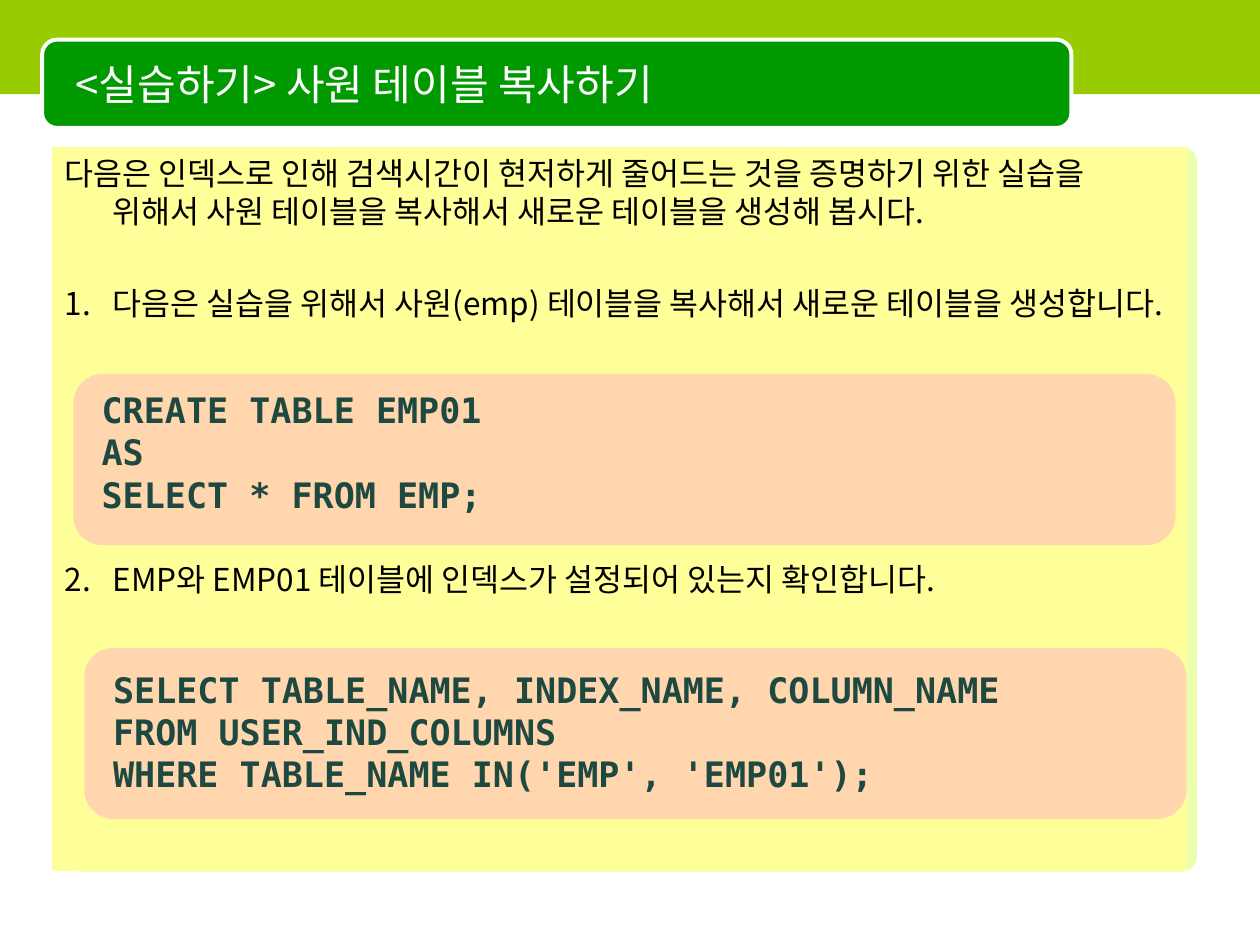
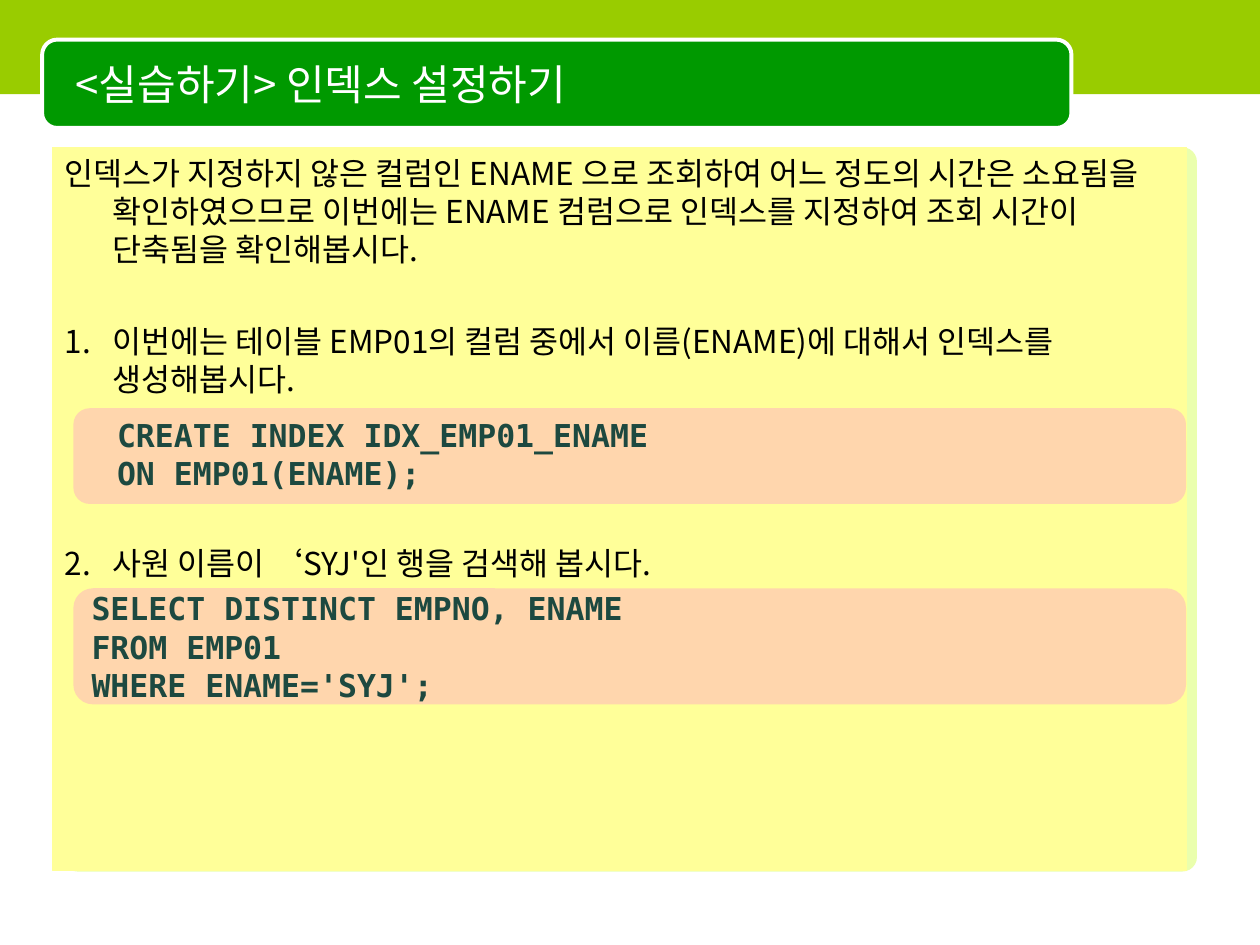
from dataclasses import dataclass

from lxml import etree
from pptx import Presentation
from pptx import util as u
from pptx.dml.color import RGBColor
from pptx.enum import shapes, text
from pptx.oxml.ns import qn


@dataclass(frozen=True)
class Theme:
    band: str = "99CC00"
    title_frame: str = "009900"
    title_ink: str = "FFFFFF"
    backdrop: str = "CCFF33"
    panel: str = "FFFF99"
    code_card: str = "FF99CC"
    body_ink: str = "000000"
    code_ink: str = "1D4940"
    body_font: str = "Noto Sans CJK KR"
    code_font: str = "DejaVu Sans Mono"
    title_size: float = 24
    body_size: float = 18
    row_height: float = 1.21  # line pitch relative to type size
    row_gap: float = 4.5
    opacity: int = 40


theme = Theme()
RECT = shapes.MSO_SHAPE.RECTANGLE
ROUND = shapes.MSO_SHAPE.ROUNDED_RECTANGLE


def add_box(parent, preset, place, fill, opacity=100, corner=None, line=None, line_width=0):
    box = parent.add_shape(preset, *map(u.Cm, place))
    box.shadow.inherit = False
    box.fill.solid()
    box.fill.fore_color.rgb = RGBColor.from_string(fill)
    if opacity < 100:
        color = box.element.spPr.find(".//" + qn("a:srgbClr"))
        etree.SubElement(color, qn("a:alpha"), val=str(opacity * 1000))
    if corner is not None:
        box.adjustments[0] = corner
    if line:
        box.line.color.rgb = RGBColor.from_string(line)
        box.line.width = u.Pt(line_width)
    else:
        box.line.fill.background()
    return box


def write(frame, lines, font, size, ink, anchor=text.MSO_ANCHOR.TOP, bold=False):
    frame_format = {
        "word_wrap": True,
        "auto_size": text.MSO_AUTO_SIZE.NONE,
        "vertical_anchor": anchor,
    }
    for name, value in frame_format.items():
        setattr(frame, name, value)
    for index, line in enumerate(lines):
        paragraph = frame.paragraphs[0] if index == 0 else frame.add_paragraph()
        paragraph.alignment = text.PP_ALIGN.LEFT
        paragraph.line_spacing = u.Pt(round(size * theme.row_height, 1))
        run = paragraph.add_run()
        run.text = line
        for name, value in {"name": font, "size": u.Pt(size), "bold": bold}.items():
            setattr(run.font, name, value)
        run.font.color.rgb = RGBColor.from_string(ink)
        latin = run.font._element.find(qn("a:latin"))
        latin.addnext(etree.Element(qn("a:ea"), typeface=font))


# Content: steps are (empty rows above, wording);
# code is (card place, text place or None, type size, lines)
lessons = [
    {
        "title": "<실습하기> 사원 테이블 복사하기",
        "intro": "다음은 인덱스로 인해 검색시간이 현저하게 줄어드는 것을 증명하기 위한 실습을 "
                 "위해서 사원 테이블을 복사해서 새로운 테이블을 생성해 봅시다.",
        "steps": [
            (1, "다음은 실습을 위해서 사원(emp) 테이블을 복사해서 새로운 테이블을 생성합니다."),
            (5, "EMP와 EMP01 테이블에 인덱스가 설정되어 있는지 확인합니다."),
        ],
        "code": [
            ((1.48, 7.54, 22.22, 3.45), (1.8, 7.7, 21.56, 2.8), 20,
             ["CREATE TABLE EMP01", "AS", "SELECT * FROM EMP;"]),
            ((1.7, 13.06, 22.22, 3.45), (2.03, 13.34, 21.56, 2.8), 20,
             ["SELECT TABLE_NAME, INDEX_NAME, COLUMN_NAME",
              "FROM USER_IND_COLUMNS",
              "WHERE TABLE_NAME IN('EMP', 'EMP01');"]),
        ],
    },
    {
        "title": "<실습하기> 인덱스 설정하기",
        "intro": "인덱스가 지정하지 않은 컬럼인 ENAME 으로 조회하여 어느 정도의 시간은 소요됨을 "
                 "확인하였으므로 이번에는 ENAME 컴럼으로 인덱스를 지정하여 조회 시간이 "
                 "단축됨을 확인해봅시다.",
        "steps": [
            (1, "이번에는 테이블 EMP01의 컬럼 중에서 이름(ENAME)에 대해서 인덱스를 생성해봅시다."),
            (3, "사원 이름이 ‘SYJ'인 행을 검색해 봅시다."),
        ],
        "code": [
            ((1.48, 8.23, 22.43, 1.93), (2.11, 8.26, 22.22, 1.78), 18,
             ["CREATE INDEX IDX_EMP01_ENAME", "ON EMP01(ENAME);"]),
            ((1.48, 11.86, 22.43, 2.34), None, 18,
             ["SELECT DISTINCT EMPNO, ENAME", "FROM EMP01", "WHERE ENAME='SYJ';"]),
        ],
    },
]

deck = Presentation()
deck.slide_width, deck.slide_height = u.Cm(25.4), u.Cm(19.05)

# Title-only layout: keep just its title
layout = deck.slide_layouts[5]
for placeholder in list(layout.placeholders):
    if placeholder.placeholder_format.type != shapes.PP_PLACEHOLDER.TITLE:
        placeholder.element.getparent().remove(placeholder.element)

for number, lesson in enumerate(lessons):
    slide = deck.slides.add_slide(layout)

    # Shared backdrop, band and title frame are moved behind the layout's title
    if number == 0:
        shared = [
            add_box(slide.shapes, ROUND, (1.27, 2.97, 22.86, 14.6), theme.backdrop,
                    opacity=theme.opacity, corner=0.02),
            add_box(slide.shapes, RECT, (0, 0, 25.43, 1.9), theme.band),
            add_box(slide.shapes, ROUND, (0.85, 0.8, 20.75, 1.78), theme.title_frame,
                    corner=0.17, line=theme.title_ink, line_width=2.25),
        ]
        for depth, part in enumerate(shared, start=2):
            layout.shapes.element.insert(depth, part.element)

    # Title
    title = slide.shapes.title
    title_place = {"left": 1.27, "top": 0.89, "width": 20.12, "height": 1.57}
    for name, value in title_place.items():
        setattr(title, name, u.Cm(value))
    write(title.text_frame, [lesson["title"]], theme.body_font, theme.title_size,
          theme.title_ink, anchor=text.MSO_ANCHOR.MIDDLE)

    # Panel with the introduction and numbered steps
    panel = add_box(slide.shapes, RECT, (1.06, 2.97, 22.86, 14.58), theme.panel,
                    line=theme.panel, line_width=0.75)
    rows = [(0, lesson["intro"])] + lesson["steps"]
    write(panel.text_frame, [wording for _, wording in rows], theme.body_font,
          theme.body_size, theme.body_ink)
    row_pitch = theme.body_size * theme.row_height + theme.row_gap
    for index, (empty_rows, _) in enumerate(rows):
        paragraph = panel.text_frame.paragraphs[index]
        paragraph.space_before = u.Pt(round(theme.row_gap + empty_rows * row_pitch, 1))
        properties = paragraph._p.get_or_add_pPr()
        properties.set("marL", str(u.Cm(0.96)))
        properties.set("indent", str(u.Cm(-0.96)))
        if index > 0:
            bullet_color = etree.SubElement(properties, qn("a:buClr"))
            etree.SubElement(bullet_color, qn("a:srgbClr"), val=theme.body_ink)
            etree.SubElement(properties, qn("a:buFont"), typeface=theme.body_font)
            etree.SubElement(properties, qn("a:buAutoNum"), type="arabicPeriod")

    # Code cards
    for card_place, code_place, size, code_lines in lesson["code"]:
        parent = slide.shapes.add_group_shape().shapes if code_place else slide.shapes
        card = add_box(parent, ROUND, card_place, theme.code_card,
                       opacity=theme.opacity, corner=0.17)
        code, anchor = card, text.MSO_ANCHOR.MIDDLE
        if code_place:
            code = parent.add_textbox(*map(u.Cm, code_place))
            anchor = text.MSO_ANCHOR.TOP
        write(code.text_frame, code_lines, theme.code_font, size, theme.code_ink,
              anchor=anchor, bold=True)

deck.save("out.pptx")
